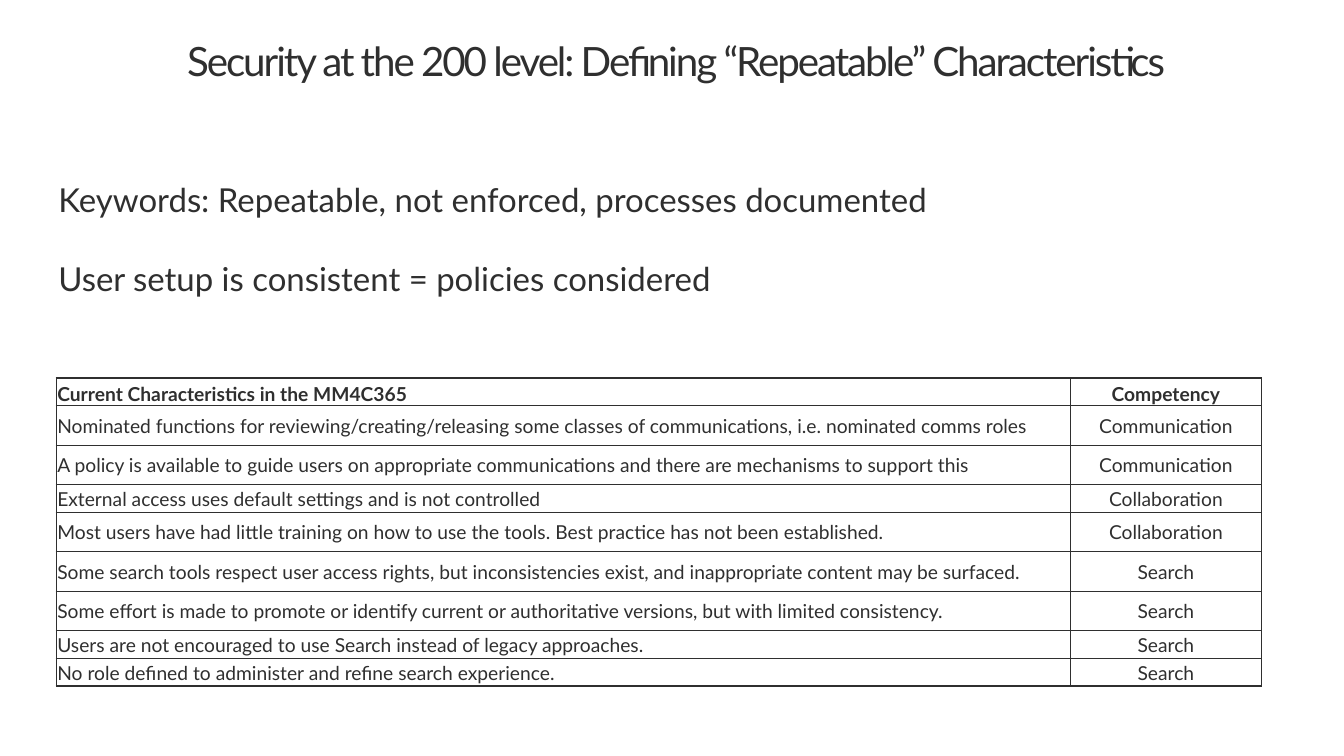
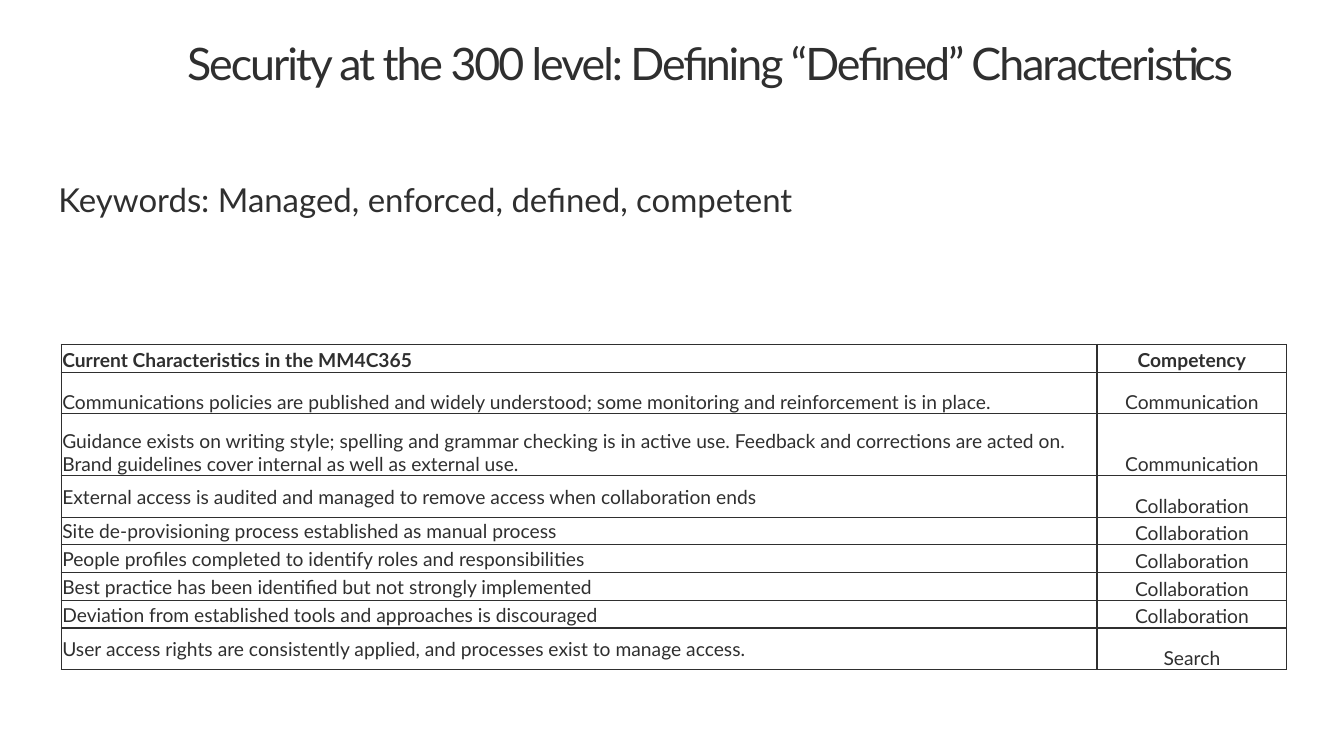
from lxml import etree
from pptx import Presentation
from pptx.dml.color import RGBColor
from pptx.enum.text import MSO_ANCHOR, PP_ALIGN
from pptx.oxml.ns import qn
from pptx.util import Inches, Pt

LEFT, CENTER = PP_ALIGN.LEFT, PP_ALIGN.CENTER
TOP, MIDDLE, BOTTOM = MSO_ANCHOR.TOP, MSO_ANCHOR.MIDDLE, MSO_ANCHOR.BOTTOM

COLORS = {"ink": "2F2F2F"}
FONT = "Lato"
SLIDE_WIDTH, SLIDE_HEIGHT = 13.6, 7.65
GRID_COLUMNS = 80
UNIT = SLIDE_WIDTH / GRID_COLUMNS  # square grid, 80 by 45
PLAIN_TABLE_STYLE = "{2D5ABB26-0587-4C30-8999-92F81FD0307C}"
SHORT, MEDIUM, TALL, DOUBLE = 1.65, 2.35, 2.47, 3.7  # row heights
HEADINGS = ("Current Characteristics in the MM4C365", "Competency")


def grid(*units):
    return [Inches(unit * UNIT) for unit in units]


class Deck:
    """Holds the shared style and the slide being filled."""

    def __init__(self):
        self.presentation = Presentation()
        self.presentation.slide_width = Inches(SLIDE_WIDTH)
        self.presentation.slide_height = Inches(SLIDE_HEIGHT)
        self.slide = None

    def add_slide(self):
        blank = self.presentation.slide_layouts[6]
        self.slide = self.presentation.slides.add_slide(blank)

    def style(self, paragraph, size, bold=False, align=LEFT):
        paragraph.alignment = align
        font = paragraph.font
        font.name, font.size, font.bold = FONT, Pt(size), bold
        font.color.rgb = RGBColor.from_string(COLORS["ink"])

    def text_box(self, box, lines, size, margins, space_after=0):
        frame = self.slide.shapes.add_textbox(*grid(*box)).text_frame
        frame.word_wrap = True
        frame.vertical_anchor = TOP
        frame.margin_left = frame.margin_right = Inches(margins[0])
        frame.margin_top = frame.margin_bottom = Inches(margins[1])
        frame.text = "\n".join(lines)
        for paragraph in frame.paragraphs:
            paragraph.line_spacing = 0.9
            paragraph.space_after = Pt(space_after)
            self.style(paragraph, size)
        return frame

    def title(self, text, size):
        frame = self.text_box((10.2, 1.9, 69, 6.4), [text], size, (0.16, 0.1))
        run = frame.paragraphs[0].runs[0]
        run._r.get_or_add_rPr().set("spc", "-150")

    def keywords(self, lines):
        self.text_box((2.3, 10, 66.35, 8.8), lines, 24, (0.2, 0.16), 32)

    def borders(self, cell):
        properties = cell._tc.get_or_add_tcPr()
        for side in ("lnL", "lnR", "lnT", "lnB"):
            line = etree.SubElement(properties, qn(f"a:{side}"), w=str(Pt(1)))
            fill = etree.SubElement(line, qn("a:solidFill"))
            etree.SubElement(fill, qn("a:srgbClr"), val=COLORS["ink"])

    def cell(self, cell, text, anchor, bold, align):
        cell.margin_left = cell.margin_right = cell.margin_top = Inches(0.01)
        cell.margin_bottom = 0
        cell.vertical_anchor = anchor
        self.borders(cell)
        cell.fill.background()
        cell.text = text
        self.style(cell.text_frame.paragraphs[0], 14, bold, align)

    def maturity_table(self, left, top, widths, rows, competency_anchor):
        """Rows are (height, anchor, characteristic, competency)."""
        rows = [(SHORT, BOTTOM, *HEADINGS), *rows]
        height = sum(row[0] for row in rows)
        frame = self.slide.shapes.add_table(
            len(rows), len(widths), *grid(left, top, sum(widths), height))
        table = frame.table
        table._tbl.tblPr.find(qn("a:tableStyleId")).text = PLAIN_TABLE_STYLE
        table.first_row = table.horz_banding = False
        for column, width in zip(table.columns, grid(*widths)):
            column.width = width
        for index, (height, anchor, characteristic, competency) in enumerate(rows):
            heading = index == 0
            table.rows[index].height = grid(height)[0]
            self.cell(table.cell(index, 0), characteristic, anchor, heading, LEFT)
            self.cell(table.cell(index, 1), competency,
                      BOTTOM if heading else competency_anchor, heading, CENTER)


def repeatable_slide(deck):
    deck.add_slide()
    deck.title("Security at the 200 level: Defining “Repeatable” Characteristics", 29.4)
    deck.keywords(["Keywords: Repeatable, not enforced, processes documented",
                   "User setup is consistent = policies considered"])
    deck.maturity_table(3.35, 22.5, (60.35, 11.4), [
        (MEDIUM, MIDDLE, "Nominated functions for reviewing/creating/releasing some classes "
         "of communications, i.e. nominated comms roles", "Communication"),
        (MEDIUM, MIDDLE, "A policy is available to guide users on appropriate communications "
         "and there are mechanisms to support this", "Communication"),
        (SHORT, MIDDLE, "External access uses default settings and is not controlled",
         "Collaboration"),
        (MEDIUM, MIDDLE, "Most users have had little training on how to use the tools. "
         "Best practice has not been established.", "Collaboration"),
        (MEDIUM, MIDDLE, "Some search tools respect user access rights, but inconsistencies "
         "exist, and inappropriate content may be surfaced.", "Search"),
        (MEDIUM, MIDDLE, "Some effort is made to promote or identify current or authoritative "
         "versions, but with limited consistency.", "Search"),
        (SHORT, MIDDLE, "Users are not encouraged to use Search instead of legacy approaches.",
         "Search"),
        (SHORT, MIDDLE, "No role defined to administer and refine search experience.",
         "Search"),
    ], MIDDLE)


def defined_slide(deck):
    deck.add_slide()
    deck.title("Security at the 300 level: Defining “Defined” Characteristics", 32.6)
    deck.keywords(["Keywords: Managed, enforced, defined, competent"])
    deck.maturity_table(3.65, 20.5, (61.65, 11.3), [
        (TALL, BOTTOM, "Communications policies are published and widely understood; "
         "some monitoring and reinforcement is in place.", "Communication"),
        (DOUBLE, BOTTOM, "Guidance exists on writing style; spelling and grammar checking is "
         "in active use. Feedback and corrections are acted on. Brand guidelines cover "
         "internal as well as external use.", "Communication"),
        (TALL, MIDDLE, "External access is audited and managed to remove access when "
         "collaboration ends", "Collaboration"),
        (SHORT, MIDDLE, "Site de-provisioning process established as manual process",
         "Collaboration"),
        (SHORT, MIDDLE, "People profiles completed to identify roles and responsibilities",
         "Collaboration"),
        (SHORT, MIDDLE, "Best practice has been identified but not strongly implemented",
         "Collaboration"),
        (SHORT, MIDDLE, "Deviation from established tools and approaches is discouraged",
         "Collaboration"),
        (TALL, MIDDLE, "User access rights are consistently applied, and processes exist "
         "to manage access.", "Search"),
    ], BOTTOM)


def main():
    deck = Deck()
    repeatable_slide(deck)
    defined_slide(deck)
    deck.presentation.save("out.pptx")


if __name__ == "__main__":
    main()
